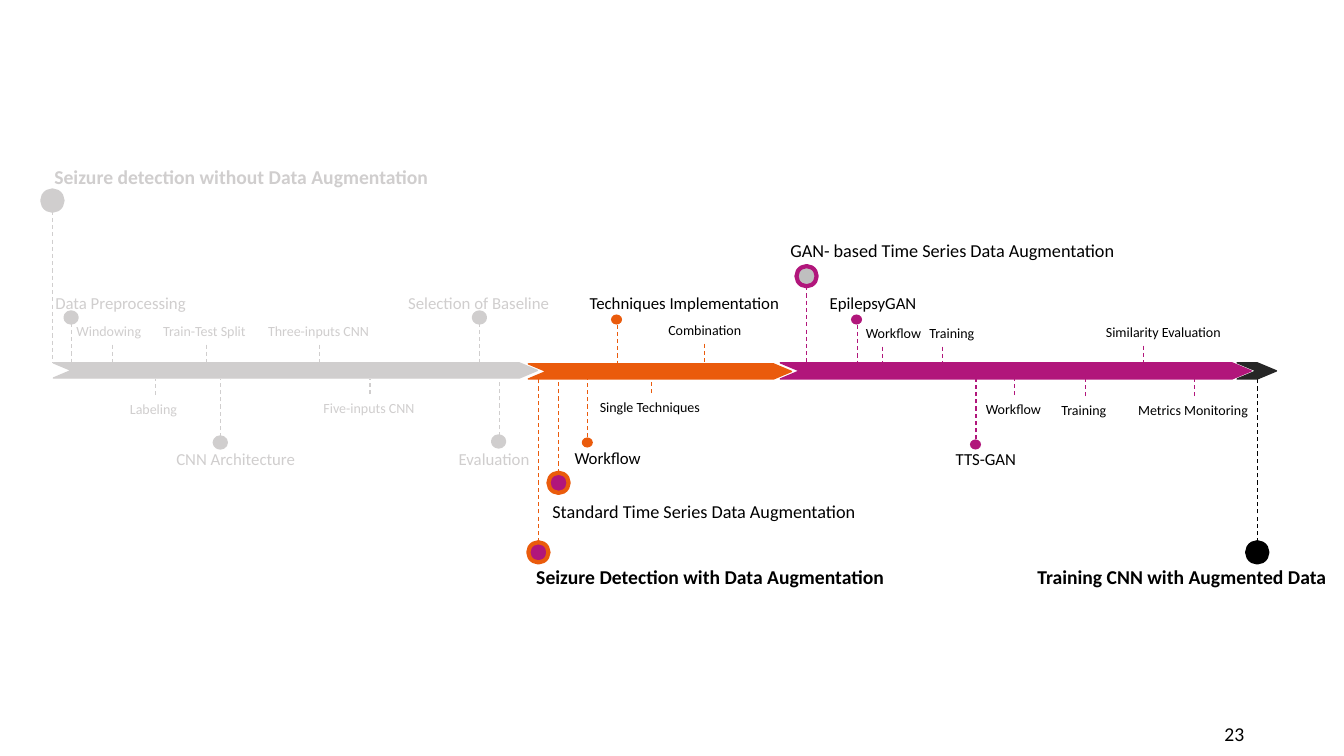
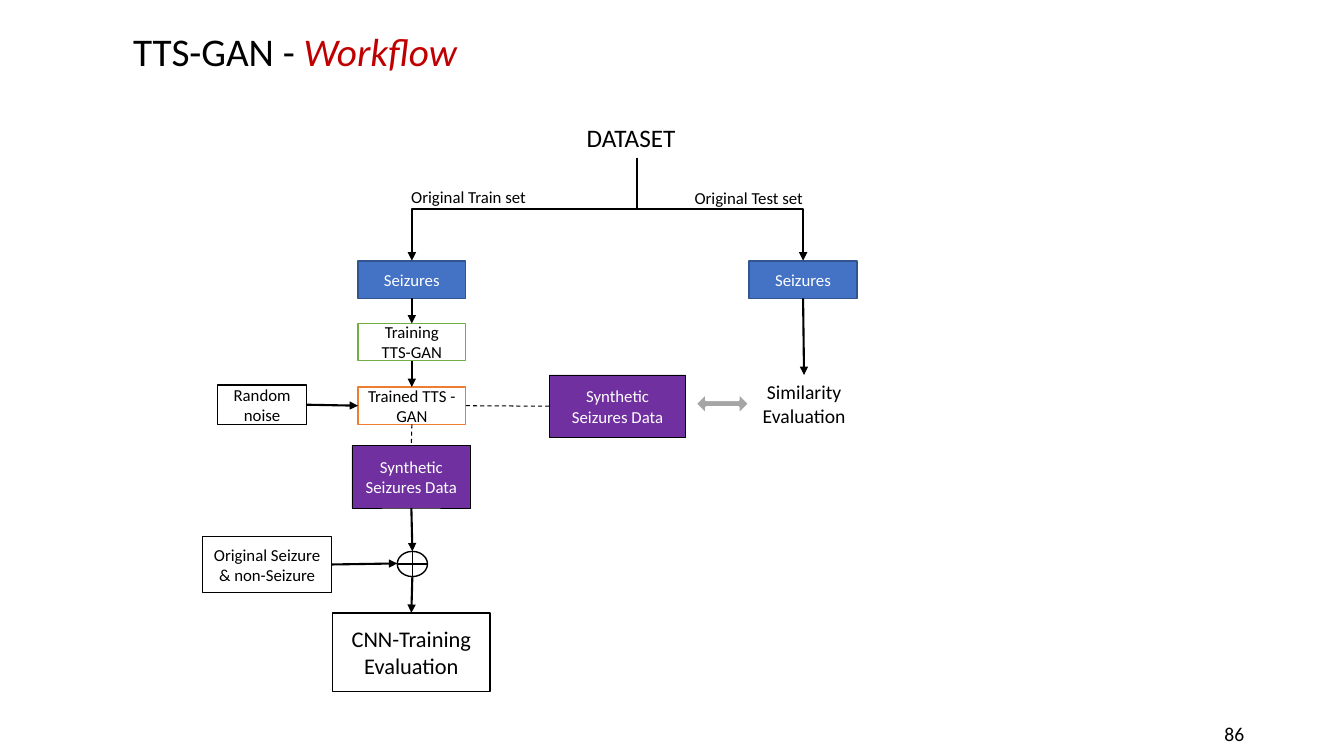
"""Build two slides: a thesis timeline and the TTS-GAN workflow diagram."""
from lxml import etree
from pptx import Presentation
from pptx import util as u
from pptx.dml.color import RGBColor
from pptx.enum import dml, shapes, text
from pptx.oxml.ns import qn

FONT = "Calibri"
COLORS = {
    "black": "000000", "white": "FFFFFF", "faded": "D0CECE", "orange": "EA5B0C",
    "magenta": "B1167B", "silver": "BFBFBF", "charcoal": "262626", "red": "C00000",
    "blue": "4472C4", "navy": "325491", "green": "70AD47", "amber": "ED7D31",
    "purple": "7030A0", "gray": "A5A5A5",
}
RGB = {name: RGBColor.from_string(value) for name, value in COLORS.items()}
SHAPE = shapes.MSO_SHAPE
CENTER, RIGHT = text.PP_ALIGN.CENTER, text.PP_ALIGN.RIGHT
MIDDLE = text.MSO_ANCHOR.MIDDLE


def add_box(slide, label, bounds, size=12, color="black", kind=None, fill="white",
            border=None, border_width=1, wrap=True, bold=None, align=None):
    """Add a text box, or a preset shape if a kind is given."""
    bounds = [u.Inches(length) for length in bounds]
    if kind is None:
        shape = slide.shapes.add_textbox(*bounds)
        shape.text_frame.auto_size = text.MSO_AUTO_SIZE.SHAPE_TO_FIT_TEXT
    else:
        shape = slide.shapes.add_shape(kind, *bounds)
        shape.shadow.inherit = False
        shape.fill.solid()
        shape.fill.fore_color.rgb = RGB[fill]
        if border:
            shape.line.color.rgb = RGB[border]
            shape.line.width = u.Pt(border_width)
        else:
            shape.line.fill.background()
        shape.text_frame.vertical_anchor = MIDDLE
        align = CENTER
    if label:
        shape.text_frame.word_wrap = wrap
        shape.text_frame.text = label
        for paragraph in shape.text_frame.paragraphs:
            paragraph.alignment = align
            paragraph.font.name = FONT
            paragraph.font.size = u.Pt(size)
            paragraph.font.bold = bold
            paragraph.font.color.rgb = RGB[color]
    return shape


def add_line(slide, start, end, color="black", dashed=False, kind=shapes.MSO_CONNECTOR.STRAIGHT):
    """Add a thin dashed line or an arrow; an end is a point or a (shape, side) pair."""
    connector = slide.shapes.add_connector(kind, 0, 0, 0, 0)
    if hasattr(start[0], "shape_id"):
        connector.begin_connect(*start)
    else:
        connector.begin_x, connector.begin_y = u.Inches(start[0]), u.Inches(start[1])
    if hasattr(end[0], "shape_id"):
        connector.end_connect(*end)
    else:
        connector.end_x, connector.end_y = u.Inches(end[0]), u.Inches(end[1])
    connector.line.color.rgb = RGB[color]
    connector.line.width = u.Pt(0.75 if dashed else 1.5)
    if dashed:
        connector.line.dash_style = dml.MSO_LINE.DASH
    else:
        line = connector.line._get_or_add_ln()
        etree.SubElement(line, qn("a:tailEnd"), type="triangle")
    etree.SubElement(connector._element.spPr, qn("a:effectLst"))
    return connector


presentation = Presentation()
presentation.slide_width, presentation.slide_height = u.Inches(13.33), u.Inches(7.5)
timeline = presentation.slides.add_slide(presentation.slide_layouts[6])
workflow = presentation.slides.add_slide(presentation.slide_layouts[5])

for slide, number in ((timeline, "23"), (workflow, "86")):
    page_number = add_box(slide, number, (9.44, 7.08, 3, 0.4), 14, align=RIGHT)
    page_number.text_frame.auto_size = text.MSO_AUTO_SIZE.NONE
    page_number.text_frame.vertical_anchor = MIDDLE

AXIS_TOP, AXIS_BOTTOM = 3.6, 3.76
chapters = [
    ("Seizure detection without Data Augmentation", 0.44, 1.59, 4.48, 14, 0.52, 1.89, "faded", "faded", "faded"),
    ("Seizure Detection with Data Augmentation", 5.22, 5.55, 4.41, 14, 5.34, 5.38, "magenta", "orange", "black"),
    ("Standard Time Series Data Augmentation", 5.38, 4.91, 4.41, 13, 5.54, 4.69, "magenta", "orange", "black"),
    ("GAN- based Time Series Data Augmentation", 7.74, 2.32, 4.41, 13, 8, 2.64, "silver", "magenta", "black"),
    ("Training CNN with Augmented Data", 10.19, 5.55, 3.1, 14, 12.47, 5.38, "black", "black", "black"),
]
milestones = [
    ("Data Preprocessing", 0.45, 2.86, 1.51, 0.71, 3.1, "faded"),
    ("CNN Architecture", 1.65, 4.4, 1.39, 2.19, 4.34, "faded"),
    ("Selection of Baseline", 3.95, 2.86, 1.62, 4.76, 3.1, "faded"),
    ("Evaluation", 4.45, 4.4, 0.91, 4.95, 4.33, "faded"),
    ("Workflow", 5.6, 4.39, 0.87, 5.83, 4.34, "orange"),
    ("Techniques Implementation", 5.75, 2.86, 2.1, 6.12, 3.12, "orange"),
    ("EpilepsyGAN", 8.13, 2.86, 1.07, 8.5, 3.12, "magenta"),
    ("TTS-GAN", 9.38, 4.4, 0.81, 9.68, 4.36, "magenta"),
]
steps = [
    ("Windowing", 0.66, 3.15, 0.85, 1.12, "faded"),
    ("Labeling", 1.19, 3.92, 0.68, 1.54, "faded"),
    ("Train-Test Split", 1.52, 3.15, 1.05, 2.05, "faded"),
    ("Three-inputs CNN", 2.56, 3.15, 1.22, 3.17, "faded"),
    ("Five-inputs CNN", 3.11, 3.91, 1.12, 3.67, "faded"),
    ("Single Techniques", 5.85, 3.9, 1.22, 6.46, "orange"),
    ("Combination", 6.53, 3.14, 0.93, 6.99, "orange"),
    ("Workflow", 8.49, 3.17, 0.76, 8.75, "magenta"),
    ("Training", 9.12, 3.17, 0.66, 9.35, "magenta"),
    ("Workflow", 9.68, 3.92, 0.76, 10.06, "magenta"),
    ("Training", 10.43, 3.93, 0.66, 10.77, "magenta"),
    ("Similarity Evaluation", 10.87, 3.16, 1.36, 11.34, "magenta"),
    ("Metrics Monitoring", 11.19, 3.93, 1.3, 11.85, "magenta"),
]

pins = [(chapter[5], chapter[6], 0.2, chapter[8]) for chapter in chapters]
pins += [(x, top, 0.1, color) for *_, x, top, color in milestones]
pins += [(x, top, 0.27, color) for _, _, top, _, x, color in steps]
for x, top, height, color in pins:
    if top < AXIS_TOP:
        add_line(timeline, (x, top + height), (x, AXIS_TOP), color, dashed=True)
    else:
        add_line(timeline, (x, top), (x, AXIS_BOTTOM), color, dashed=True)

for left, top, width, height, color in (
    (0.53, 3.6, 4.8, 0.15, "faded"),
    (5.24, 3.61, 2.61, 0.15, "orange"),
    (7.74, 3.6, 4.67, 0.16, "magenta"),
    (12.27, 3.6, 0.39, 0.16, "charcoal"),
):
    chevron = add_box(timeline, "", (left, top, width, height), kind=SHAPE.CHEVRON, fill=color, border=color)
    chevron.adjustments[0] = 1.19

for label, left, top, width, size, x, dot_top, fill, ring, color in chapters:
    add_box(timeline, "", (x - 0.1, dot_top, 0.2, 0.2), kind=SHAPE.FLOWCHART_CONNECTOR,
            fill=fill, border=ring, border_width=3)
    add_box(timeline, label, (left, top, width, size / 60 + 0.1), size, color, bold=size == 14)

for label, left, top, width, x, dot_top, color in milestones:
    faded = color == "faded"
    add_box(timeline, "", (x - 0.06, dot_top, 0.11, 0.1), kind=SHAPE.FLOWCHART_CONNECTOR,
            fill=color, border=color if faded else None, border_width=3)
    add_box(timeline, label, (left, top, width, 0.3), 12, color if faded else "black", wrap=False)

for label, left, top, width, x, color in steps:
    add_box(timeline, label, (left, top, width, 0.27), 10,
            color if color == "faded" else "black", wrap=False)

title = workflow.shapes.title
title.left, title.top, title.width, title.height = (u.Inches(length) for length in (1.22, 0.1, 11.41, 0.87))
title.text_frame.vertical_anchor = MIDDLE
paragraph = title.text_frame.paragraphs[0]
paragraph.alignment = text.PP_ALIGN.LEFT
paragraph.line_spacing = 0.9
paragraph.font.name = FONT
paragraph.font.size = u.Pt(28)
for words, color, italic in (("TTS-GAN -", "black", None), (" Workflow", "red", True)):
    run = paragraph.add_run()
    run.text = words
    run.font.color.rgb = RGB[color]
    run.font.italic = italic

add_box(workflow, "DATASET", (5.72, 1.16, 1.21, 0.4), 18, wrap=False)
add_box(workflow, "Original Train set", (3.98, 1.8, 1.71, 0.3))
add_box(workflow, "Original Test set", (6.79, 1.81, 2.04, 0.3))
similarity = add_box(workflow, "Similarity Evaluation", (7.3, 3.72, 1.35, 0.57), 14, align=CENTER)

boxes = {}
for name, label, bounds, size, color, fill, border, border_width in (
    ("train", "Seizures", (3.55, 2.59, 1.07, 0.37), 12, "white", "blue", "navy", 1),
    ("test", "Seizures", (7.43, 2.59, 1.07, 0.37), 12, "white", "blue", "navy", 1),
    ("training", "Training\nTTS-GAN", (3.55, 3.21, 1.07, 0.37), 12, "black", "white", "green", 1),
    ("trained", "Trained TTS - GAN", (3.55, 3.84, 1.07, 0.37), 12, "black", "white", "amber", 1),
    ("noise", "Random noise", (2.16, 3.82, 0.88, 0.39), 12, "black", "white", "black", 1),
    ("compared", "Synthetic Seizures Data", (5.45, 3.72, 1.35, 0.62), 12, "white", "purple", "black", 0.5),
    ("added", "Synthetic Seizures Data", (3.49, 4.42, 1.18, 0.62), 12, "white", "purple", "black", 0.5),
    ("recorded", "Original Seizure & non-Seizure", (2.01, 5.32, 1.28, 0.56), 12, "black", "white", "black", 1),
    ("cnn", "CNN-Training\nEvaluation", (3.3, 6.08, 1.56, 0.78), 16, "black", "white", "black", 1),
):
    boxes[name] = add_box(workflow, label, bounds, size, color, SHAPE.RECTANGLE, fill, border, border_width)

add_box(workflow, "", (3.94, 5.47, 0.3, 0.25), kind=SHAPE.FLOWCHART_OR, border="black")
comparison = add_box(workflow, "", (6.9, 3.9, 0.53, 0.21), kind=SHAPE.LEFT_RIGHT_ARROW,
                     fill="gray", border="white", border_width=1.5)
comparison.adjustments[0], comparison.adjustments[1] = 0.33, 0.5

for start, end, dashed in (
    ((boxes["train"], 2), (boxes["training"], 0), False),
    ((boxes["training"], 2), (boxes["trained"], 0), False),
    ((boxes["noise"], 3), (boxes["trained"], 1), False),
    ((boxes["trained"], 3), (boxes["compared"], 1), True),
    ((boxes["trained"], 2), (boxes["added"], 0), True),
    ((boxes["test"], 2), (similarity, 0), False),
    ((boxes["added"], 2), (4.09, 5.47), False),
    ((boxes["recorded"], 3), (3.94, 5.59), False),
    ((4.09, 5.72), (boxes["cnn"], 0), False),
):
    add_line(workflow, start, end, dashed=dashed)

for start, end, degrees in (((4.69, 0.96), (5.71, 3.19), 90), ((7.65, 1.25), (6.63, 2.9), 270)):
    branch = add_line(workflow, start, end, kind=shapes.MSO_CONNECTOR.ELBOW)
    branch._element.spPr.find(qn("a:xfrm")).set("rot", str(degrees * 60000))

presentation.save("out.pptx")
